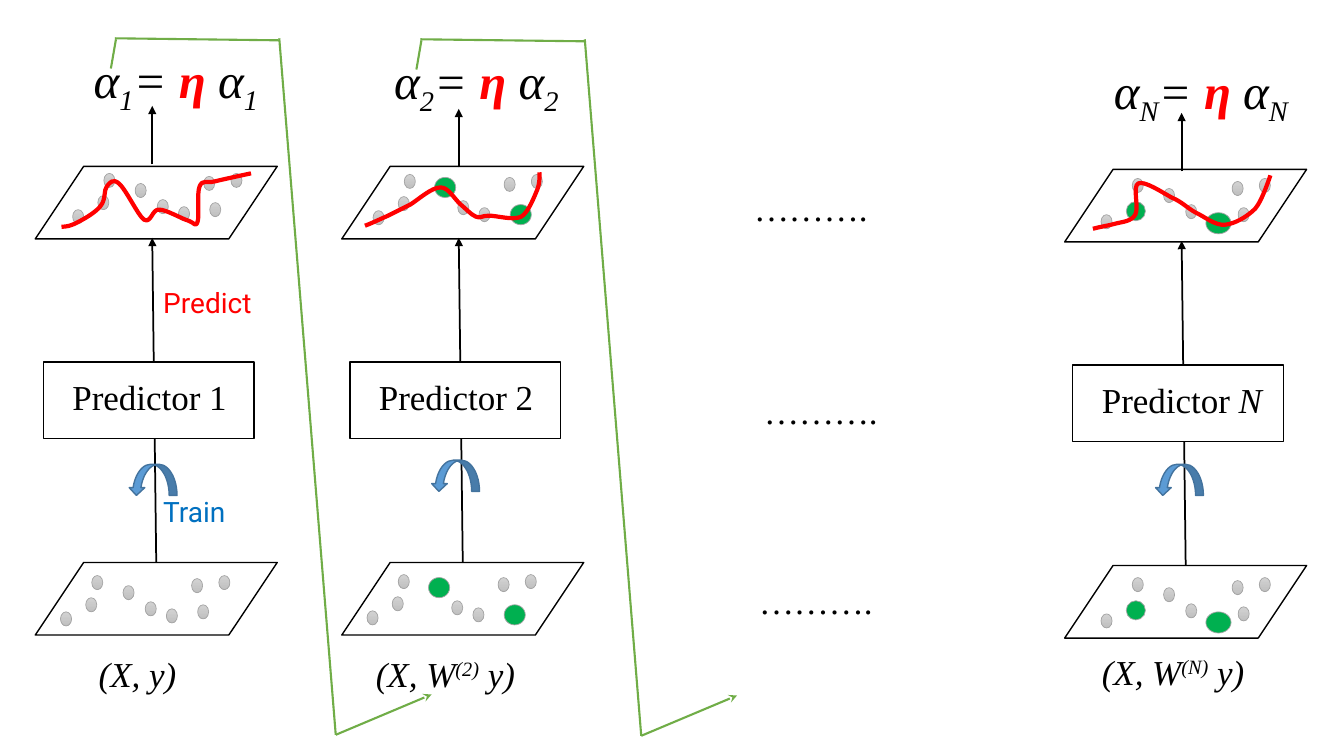
from dataclasses import dataclass, field

from lxml import etree
from pptx import Presentation
from pptx import util as u
from pptx.dml import color
from pptx.enum import shapes, text
from pptx.oxml import ns

Point = tuple[float, float]
Box = tuple[float, float, float, float]

SERIF, SANS = "Times New Roman", "Roboto"
BLACK, WHITE, RED, GREEN = "000000", "FFFFFF", "FF0000", "00B050"
FEEDBACK_GREEN, GREY, TRAIN_BLUE = "70AD47", "A5A5A5", "0070C0"
DOTS = [(0, 0), (-0.31, 0.36), (0.31, 0.1), (0.74, 0.33), (1.05, 0.29),
        (1.26, 0), (-0.06, 0.22), (0.53, 0.26), (0.99, 0.03)]


@dataclass
class Span:
    text: str
    color: str = BLACK
    bold: bool = False
    italic: bool = True
    baseline: int = 0


@dataclass
class Stage:
    index: str
    left: float
    drop: float
    top_dots: Point
    bottom_dots: Point
    loop: Point
    formula: Point
    caption: Point
    arrow_tip: float
    curve: list[Point]
    weights: str = ""
    weighted: dict[int, Box] = field(default_factory=dict)


STAGES = [
    Stage("1", 0.35, 0, (1.03, 1.72), (0.91, 5.71), (1.36, 4.52), (0.83, 0.44),
          (0.88, 6.42), 1.05,
          [(0.61, 2.25), (0.66, 2.25), (0.71, 2.24), (0.78, 2.2), (0.84, 2.17),
           (0.96, 2.1), (1, 2.04), (1.05, 1.98), (1.03, 1.88), (1.06, 1.85),
           (1.09, 1.81), (1.12, 1.77), (1.18, 1.82), (1.25, 1.88), (1.37, 2.14),
           (1.43, 2.18), (1.5, 2.22), (1.51, 2.07), (1.58, 2.08), (1.65, 2.08),
           (1.8, 2.17), (1.87, 2.19), (1.93, 2.21), (1.94, 2.26), (1.96, 2.2),
           (1.98, 2.15), (1.95, 1.92), (1.98, 1.85), (2.01, 1.78), (2.04, 1.82),
           (2.13, 1.8), (2.21, 1.78), (2.49, 1.72), (2.49, 1.72)]),
    Stage("2", 3.39, 0, (4.01, 1.73), (3.95, 5.7), (4.36, 4.48), (3.81, 0.45),
          (3.63, 6.42), 1.08,
          [(3.62, 2.24), (3.7, 2.21), (3.78, 2.17), (3.85, 2.14), (3.93, 2.1),
           (4.07, 2.03), (4.07, 2.03), (4.15, 1.98), (4.28, 1.86), (4.37, 1.86),
           (4.45, 1.86), (4.51, 1.98), (4.57, 2.03), (4.62, 2.07), (4.67, 2.13),
           (4.72, 2.15), (4.76, 2.17), (4.78, 2.14), (4.85, 2.14), (4.93, 2.14),
           (5.09, 2.19), (5.17, 2.15), (5.24, 2.11), (5.3, 1.95), (5.33, 1.88),
           (5.36, 1.8), (5.35, 1.71), (5.35, 1.71)],
          "(2)", {2: (0.3, 0.03, 0.21, 0.2), 4: (1.05, 0.3, 0.21, 0.2)}),
    Stage("N", 10.56, 0.03, (11.23, 1.77), (11.23, 5.73), (11.54, 4.52),
          (10.95, 0.55), (10.83, 6.4), 1.12,
          [(10.84, 2.27), (10.91, 2.25), (10.99, 2.24), (11.06, 2.22),
           (11.13, 2.2), (11.22, 2.2), (11.26, 2.13), (11.3, 2.06), (11.23, 1.85),
           (11.29, 1.82), (11.35, 1.79), (11.53, 1.91), (11.62, 1.96), (11.72, 2),
           (11.77, 2.06), (11.86, 2.11), (11.95, 2.15), (12.05, 2.24),
           (12.15, 2.23), (12.25, 2.22), (12.37, 2.15), (12.45, 2.07),
           (12.52, 1.99), (12.6, 1.74), (12.6, 1.74)],
          "(N)", {3: (0.73, 0.34, 0.25, 0.21), 6: (-0.06, 0.23, 0.19, 0.19)}),
]


def length(inches: float) -> u.Length:
    return u.Cm(inches * 2.54)


def rgb(value: str) -> color.RGBColor:
    return color.RGBColor.from_string(value)


def add_shape(kind, box: Box, fill: str | None, line: str, width: float = 1):
    shape = slide.shapes.add_shape(kind, *map(length, box))
    shape.shadow.inherit = False
    if fill:
        shape.fill.solid()
        shape.fill.fore_color.rgb = rgb(fill)
    else:
        shape.fill.gradient()
        shape.fill.gradient_angle = 270
        for stop, shade in zip(shape.fill.gradient_stops, ("D2D2D2", "C0C0C0")):
            stop.color.rgb = rgb(shade)
    shape.line.color.rgb = rgb(line)
    shape.line.width = u.Pt(width)
    return shape


def add_line(parent, start: Point, end: Point, line: str, width: float,
             arrow: str = "") -> None:
    connector = parent.add_connector(shapes.MSO_CONNECTOR.STRAIGHT,
                                     *map(length, start + end))
    connector.line.color.rgb = rgb(line)
    connector.line.width = u.Pt(width)
    properties = connector.element.spPr
    if arrow:
        outline = properties.find(ns.qn("a:ln"))
        etree.SubElement(outline, ns.qn("a:tailEnd"), type=arrow)
    etree.SubElement(properties, ns.qn("a:effectLst"))


def add_text(position: Point, spans: list[Span], size: float, font: str = SERIF,
             width: float = 2.08) -> None:
    height = size / 60 + 0.1
    box = slide.shapes.add_textbox(*map(length, (*position, width, height)))
    frame = box.text_frame
    frame.word_wrap = True
    frame.auto_size = text.MSO_AUTO_SIZE.SHAPE_TO_FIT_TEXT
    for span in spans:
        run = frame.paragraphs[0].add_run()
        run.text = span.text
        run.font.name, run.font.size = font, u.Pt(size)
        run.font.bold, run.font.italic = span.bold, span.italic
        run.font.color.rgb = rgb(span.color)
        if span.baseline:
            run.font._element.set("baseline", str(span.baseline * 1000))


def add_curve(points: list[Point]) -> None:
    start, *controls = [(length(x), length(y)) for x, y in points]
    builder = slide.shapes.build_freeform(*start)
    builder.add_line_segments(controls, close=False)
    shape = builder.convert_to_shape()
    shape.shadow.inherit = False
    shape.fill.background()
    shape.line.color.rgb = rgb(RED)
    shape.line.width = u.Pt(3)
    outline = shape.element.find(".//" + ns.qn("a:path"))
    segments = outline.findall(ns.qn("a:lnTo"))
    for first in range(0, len(segments), 3):
        bezier = etree.SubElement(outline, ns.qn("a:cubicBezTo"))
        for segment in segments[first:first + 3]:
            bezier.append(segment[0])
            outline.remove(segment)


def add_dots(origin: Point, weighted: dict[int, Box]) -> None:
    for number, offset in enumerate(DOTS):
        x, y, width, height = weighted.get(number, (*offset, 0.11, 0.14))
        fill = GREEN if number in weighted else None
        add_shape(shapes.MSO_SHAPE.OVAL, (origin[0] + x, origin[1] + y, width, height),
                  fill, GREY, 0.5)


def add_stage(stage: Stage) -> None:
    left, drop = stage.left, stage.drop
    for top in (5.58, 1.65):
        add_shape(shapes.MSO_SHAPE.FLOWCHART_DATA, (left, top + drop, 2.4, 0.72),
                  WHITE, BLACK)
    add_dots(stage.bottom_dots, stage.weighted)
    add_dots(stage.top_dots, stage.weighted)
    add_curve(stage.curve)
    add_line(slide.shapes, (left + 1.2, 5.58 + drop), (left + 1.16, 2.36 + drop),
             BLACK, 1.25, "triangle")
    add_shape(shapes.MSO_SHAPE.RECTANGLE, (left + 0.08, 3.59 + drop, 2.09, 0.76),
              WHITE, BLACK)
    add_text((left + 0.27, 3.68 + drop),
             [Span("Predictor ", italic=False),
              Span(stage.index, italic=stage.index == "N")], 25)
    loop = add_shape(shapes.MSO_SHAPE.CURVED_RIGHT_ARROW, (*stage.loop, 0.31, 0.48),
                     "5B9BD5", "43739E")
    loop.rotation = 90
    add_text(stage.formula,
             [Span("α"), Span(stage.index, baseline=-25), Span("= "),
              Span("η ", RED, bold=True), Span("α"),
              Span(stage.index + " ", baseline=-25)], 35)
    add_line(slide.shapes, (left + 1.16, stage.arrow_tip + 0.58),
             (left + 1.16, stage.arrow_tip), BLACK, 1.25, "triangle")
    spans = [Span("(X, y)")]
    if stage.weights:
        spans = [Span("(X, W"), Span(stage.weights, baseline=30), Span(" y)")]
    add_text(stage.caption, spans, 25, width=2.5 if stage.weights else 2.08)


def add_feedback(x: float, y: float) -> None:
    group = slide.shapes.add_group_shape().shapes
    corner, bottom = (x + 1.63, y), (x + 2.19, y + 6.91)
    add_line(group, bottom, (x + 3.14, y + 6.51), FEEDBACK_GREEN, 1.5, "stealth")
    add_line(group, (x, y), (corner[0], y + 0.02), FEEDBACK_GREEN, 1.5)
    add_line(group, corner, bottom, FEEDBACK_GREEN, 1.5)
    add_line(group, (x + 0.01, y + 0.01), (x - 0.04, y + 0.3), FEEDBACK_GREEN, 1.5)


presentation = Presentation()
presentation.slide_width, presentation.slide_height = length(13.33), length(7.5)
slide = presentation.slides.add_slide(presentation.slide_layouts[6])

for stage in STAGES:
    add_stage(stage)
for label, shade, top in (("Train", TRAIN_BLUE, 4.86), ("Predict", RED, 2.78)):
    add_text((1.52, top), [Span(label, shade, italic=False)], 20, SANS)
for position in ((7.38, 1.8), (7.48, 3.82), (7.43, 5.7)):
    add_text(position, [Span("……….", italic=False)], 25)
for repeat in range(2):
    add_feedback(1.14 + 3.03 * repeat, 0.38 + 0.01 * repeat)

presentation.save("out.pptx")
